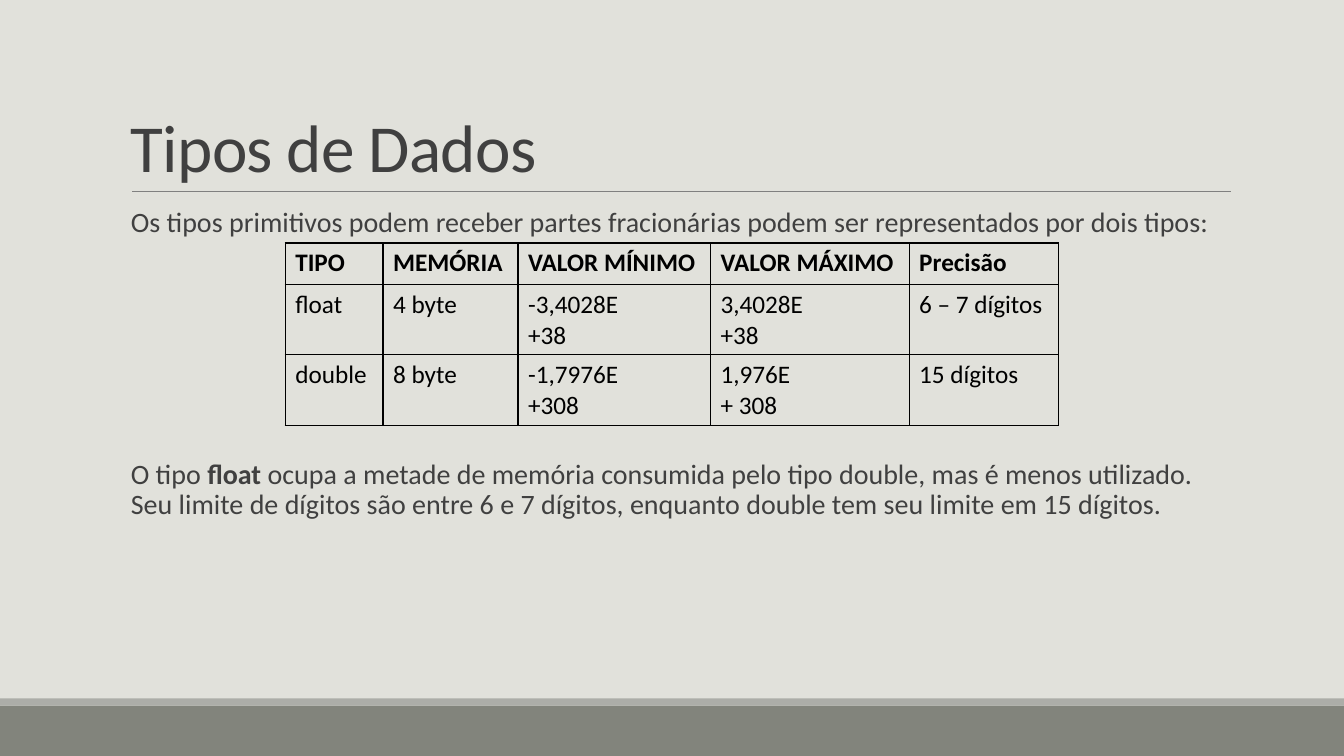
import dataclasses

import lxml.etree
import pptx
import pptx.dml.color
import pptx.enum.shapes
import pptx.enum.text
import pptx.oxml.ns
import pptx.util

UNIT = 0.1
COLS, ROWS = 133.33, 75
FONT = "Calibri"
COLORS = {
    "background": "E1E1DB",
    "footer": "82847C",
    "strip": "ACADA8",
    "rule": "808080",
    "text": "404040",
    "table": "000000",
}


@dataclasses.dataclass
class Box:
    col: float
    row: float
    cols: float
    rows: float

    def emu(self) -> list:
        return [grid(n) for n in (self.col, self.row, self.cols, self.rows)]


@dataclasses.dataclass
class Band:
    box: Box
    color: str


@dataclasses.dataclass
class Run:
    text: str
    size: float
    color: str = "text"
    bold: bool = False


@dataclasses.dataclass
class Para:
    runs: list
    line_spacing: float = 1.0
    before: float = 0
    after: float = 0


BANDS = [
    Band(Box(0, 70, COLS, 5), "footer"),
    Band(Box(0, 69.3, COLS, 0.7), "strip"),
]
TITLE = [Para([Run("Tipos de Dados", 48)], 0.85)]
BODY = [
    Para([Run("Os tipos primitivos podem receber partes fracionárias podem ser "
              "representados por dois tipos:", 20)], 0.9, 12, 2),
    Para([Run("O tipo ", 20), Run("float", 20, bold=True),
          Run(" ocupa a metade de memória consumida pelo tipo double, mas é menos "
              "utilizado. Seu limite de dígitos são entre 6 e 7 dígitos, enquanto "
              "double tem seu limite em 15 dígitos.", 20)], 0.9, 156, 2),
]
TABLE_BOX = Box(28.3, 24.1, 76.7, 18.1)
COL_WIDTHS = [9.7, 13.4, 19.1, 19.7, 14.8]
ROW_HEIGHTS = [4.1, 7, 7]
TABLE = [
    ["TIPO", "MEMÓRIA", "VALOR MÍNIMO", "VALOR MÁXIMO", "Precisão"],
    ["float", "4 byte", "-3,4028E\n+38", "3,4028E\n+38", "6 – 7 dígitos"],
    ["double", "8 byte", "-1,7976E\n+308", "1,976E\n+ 308", "15 dígitos"],
]


def grid(n: float) -> int:
    return pptx.util.Inches(n * UNIT)


def rgb(name: str) -> pptx.dml.color.RGBColor:
    return pptx.dml.color.RGBColor.from_string(COLORS[name])


def write(tf, paras: list, tracking: int = 0) -> None:
    for i, para in enumerate(paras):
        p = tf.paragraphs[0] if i == 0 else tf.add_paragraph()
        p.line_spacing = para.line_spacing
        p.space_before = pptx.util.Pt(para.before)
        p.space_after = pptx.util.Pt(para.after)
        for run in para.runs:
            r = p.add_run()
            r.text = run.text
            r.font.name = FONT
            r.font.size = pptx.util.Pt(run.size)
            r.font.bold = run.bold
            r.font.color.rgb = rgb(run.color)
            if tracking:
                r.font._element.set("spc", str(tracking))


def add_band(slide, band: Band) -> None:
    sp = slide.shapes.add_shape(pptx.enum.shapes.MSO_SHAPE.RECTANGLE, *band.box.emu())
    sp.shadow.inherit = False
    sp.fill.solid()
    sp.fill.fore_color.rgb = rgb(band.color)
    sp.line.fill.background()


def add_rule(slide, left: float, right: float, row: float) -> None:
    cn = slide.shapes.add_connector(pptx.enum.shapes.MSO_CONNECTOR.STRAIGHT,
                                    grid(left), grid(row), grid(right), grid(row))
    cn.line.color.rgb = rgb("rule")
    cn.line.width = pptx.util.Pt(0.5)
    lxml.etree.SubElement(cn._element.spPr, pptx.oxml.ns.qn("a:effectLst"))


def add_text(slide, box: Box, paras: list, anchor, tracking: int = 0) -> None:
    tf = slide.shapes.add_textbox(*box.emu()).text_frame
    tf.word_wrap = True
    tf.vertical_anchor = anchor
    write(tf, paras, tracking)


def add_borders(cell) -> None:
    tc_pr = cell._tc.get_or_add_tcPr()
    for side in ("lnL", "lnR", "lnT", "lnB"):
        ln = lxml.etree.SubElement(tc_pr, pptx.oxml.ns.qn("a:" + side),
                                   w=str(pptx.util.Pt(1)))
        fill = lxml.etree.SubElement(ln, pptx.oxml.ns.qn("a:solidFill"))
        lxml.etree.SubElement(fill, pptx.oxml.ns.qn("a:srgbClr"), val=COLORS["table"])


def add_types_table(slide) -> None:
    table = slide.shapes.add_table(len(TABLE), len(COL_WIDTHS), *TABLE_BOX.emu()).table
    table.first_row = False
    table.horz_banding = False
    for column, width in zip(table.columns, COL_WIDTHS):
        column.width = grid(width)
    for i, (row, height) in enumerate(zip(TABLE, ROW_HEIGHTS)):
        table.rows[i].height = grid(height)
        for j, text in enumerate(row):
            cell = table.cell(i, j)
            add_borders(cell)
            cell.fill.background()
            write(cell.text_frame, [Para([Run(line, 18, "table", i == 0)])
                                    for line in text.split("\n")])


def main() -> None:
    prs = pptx.Presentation()
    prs.slide_width, prs.slide_height = grid(COLS), grid(ROWS)
    slide = prs.slides.add_slide(prs.slide_layouts[6])
    slide.background.fill.solid()
    slide.background.fill.fore_color.rgb = rgb("background")
    for band in BANDS:
        add_band(slide, band)
    add_rule(slide, 13.1, 122.1, 19)
    anchors = pptx.enum.text.MSO_ANCHOR
    add_text(slide, Box(12, 3.1, 110, 15.9), TITLE, anchors.BOTTOM, -50)
    add_text(slide, Box(12, 20.2, 110, 44), BODY, anchors.TOP)
    add_types_table(slide)
    prs.save("out.pptx")


if __name__ == "__main__":
    main()
